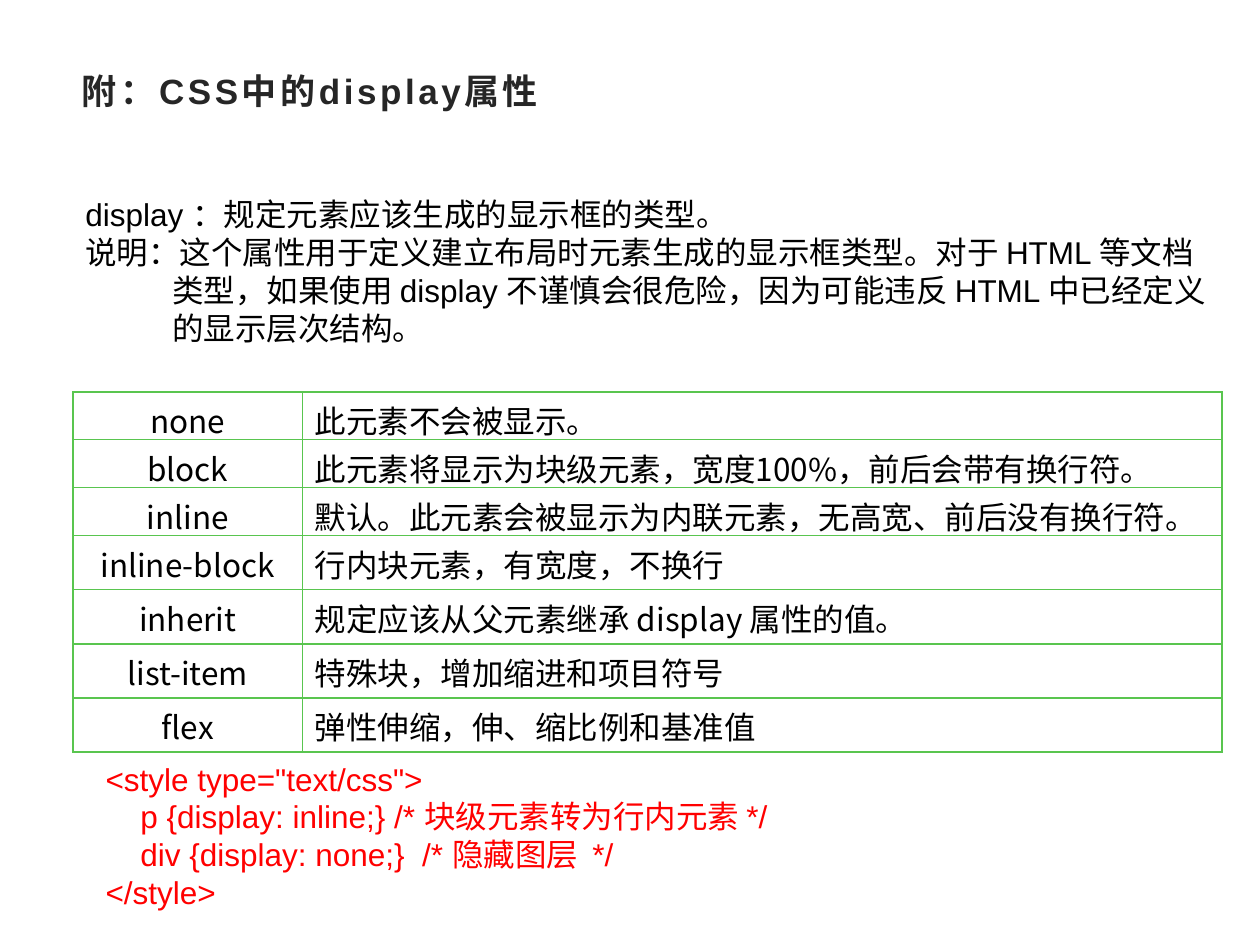
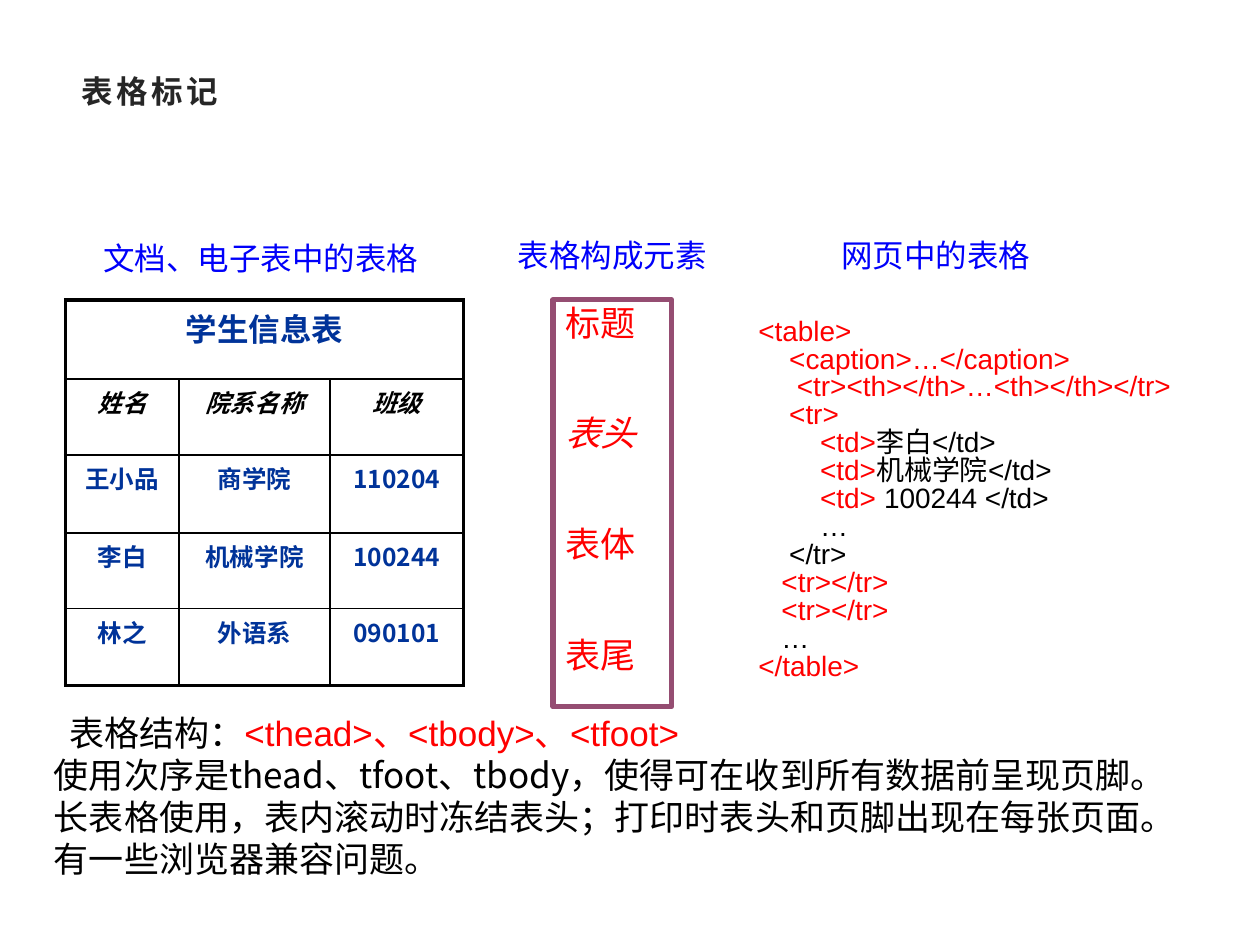
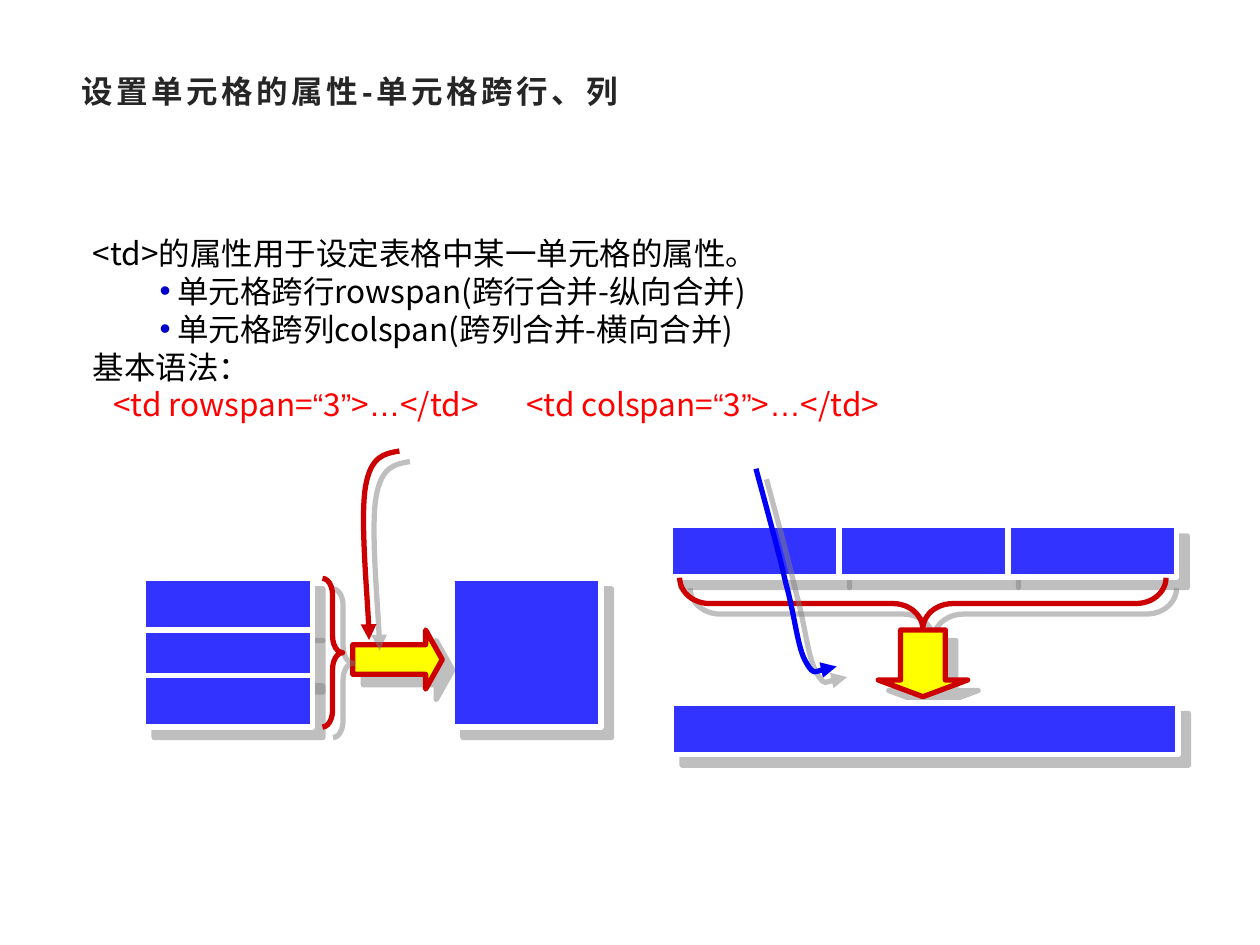
from lxml import etree
from pptx import Presentation
from pptx.dml.color import RGBColor
from pptx.enum.shapes import MSO_SHAPE
from pptx.enum.text import MSO_ANCHOR, MSO_AUTO_SIZE, PP_ALIGN
from pptx.oxml.ns import qn
from pptx.util import Inches, Pt

LEFT, CENTER = PP_ALIGN.LEFT, PP_ALIGN.CENTER
TOP, MIDDLE = MSO_ANCHOR.TOP, MSO_ANCHOR.MIDDLE
RECT, ARROW = MSO_SHAPE.RECTANGLE, MSO_SHAPE.RIGHT_ARROW
L_BRACE, R_BRACE = MSO_SHAPE.LEFT_BRACE, MSO_SHAPE.RIGHT_BRACE

BLACK = RGBColor(0, 0, 0)
WHITE = RGBColor(0xFF, 0xFF, 0xFF)
INK = RGBColor(0x26, 0x26, 0x26)
RED = RGBColor(0xFF, 0, 0)
GREEN = RGBColor(0x59, 0xC5, 0x4F)
NAVY = RGBColor(0, 0x33, 0x99)
BLUE = RGBColor(0, 0, 0xFA)
DOT = RGBColor(0, 0, 0xCC)
PLUM = RGBColor(0x95, 0x4D, 0x72)
CELL = RGBColor(0x33, 0x33, 0xFF)
CRIMSON = RGBColor(0xCC, 0, 0)
YELLOW = RGBColor(0xFF, 0xFF, 0)
GRAY = RGBColor(0x80, 0x80, 0x80)

ARIAL, NOTO = "Arial", "Noto Sans CJK SC"


def node(parent, tag, **attrs):
    item = etree.SubElement(parent, qn(tag))
    for key, value in attrs.items():
        item.set(key, str(value))
    return item


def tint(parent, color):
    return node(parent, "a:srgbClr", val=color)


def box(at):
    return [Inches(n) for n in at]


class Deck:
    def __init__(self):
        self.prs = Presentation()
        self.prs.slide_width, self.prs.slide_height = Inches(10), Inches(7.5)
        self.slide = None

    def page(self, title, size=18):
        """Start a slide with the shared title style."""
        self.slide = self.prs.slides.add_slide(self.prs.slide_layouts[5])
        head = self.slide.shapes.title
        head.left, head.top, head.width, head.height = box((0.55, 0.48, 8.9, 0.48))
        frame = head.text_frame
        frame.auto_size = MSO_AUTO_SIZE.NONE
        frame.vertical_anchor = MIDDLE
        para = frame.paragraphs[0]
        para.alignment = LEFT
        run = self.run(para, title, size, INK, bold=True)
        run.font._element.set("spc", "200")

    def run(self, para, text, size=18, color=BLACK, font=ARIAL, bold=False, italic=False):
        run = para.add_run()
        run.text = text
        face = run.font
        face.size, face.name, face.bold, face.italic = Pt(size), font, bold, italic
        face.color.rgb = color
        node(face._element, "a:ea", typeface=NOTO)
        return run

    def fill(self, frame, lines, line=None, gap=0, **style):
        """Write lines; each is a string or a list of (text, changes) runs."""
        frame.word_wrap = True
        frame.vertical_anchor = TOP
        for i, parts in enumerate(lines):
            para = frame.add_paragraph() if i else frame.paragraphs[0]
            para.alignment = LEFT
            if line:
                para.line_spacing = line
            if i and gap:
                para.space_before = Pt(gap)
            for text, diff in [(parts, {})] if isinstance(parts, str) else parts:
                self.run(para, text, **{**style, **diff})
        return frame.paragraphs

    def text(self, at, lines, **style):
        area = self.slide.shapes.add_textbox(*box(at))
        return self.fill(area.text_frame, lines, **style)

    def indent(self, para, left, first):
        props = para._p.get_or_add_pPr()
        props.set("marL", str(Inches(left)))
        props.set("indent", str(Inches(first)))
        return props

    def bullet(self, para, left, first):
        props = self.indent(para, left, first)
        tint(node(props, "a:buClr"), DOT)
        node(props, "a:buFont", typeface=ARIAL)
        node(props, "a:buChar", char="•")

    def table(self, at, cols, rows, data, look, color, edge, anchor, span=1):
        """Draw a grid; look(r, c) gives alignment and run style; span joins top cells."""
        grid = self.slide.shapes.add_table(len(rows), len(cols), *box(at)).table
        grid.first_row = grid.horz_banding = False
        for col, wide in zip(grid.columns, cols):
            col.width = Inches(wide)
        for row, high in zip(grid.rows, rows):
            row.height = Inches(high)
        if span > 1:
            grid.cell(0, 0).merge(grid.cell(0, span - 1))
        for r, words in enumerate(data):
            for c, word in enumerate(words):
                cell = grid.cell(r, c)
                cell.margin_top = cell.margin_bottom = Inches(0.04)
                cell.vertical_anchor = anchor
                para = cell.text_frame.paragraphs[0]
                para.alignment, style = look(r, c)
                self.run(para, word, **style)
                wide = cell.span_width if cell.is_merge_origin else 1
                outer = {"L": c == 0, "R": c + wide == len(cols),
                         "T": r == 0, "B": r == len(rows) - 1}
                for side, rim in outer.items():
                    rule = node(cell._tc.get_or_add_tcPr(), "a:ln" + side,
                                w=Pt(edge if rim else 1))
                    tint(node(rule, "a:solidFill"), color)
                cell.fill.background()

    def paint(self, shape, fill, line, shade=True):
        shape.shadow.inherit = False
        if fill is None:
            shape.fill.background()
        else:
            shape.fill.solid()
            shape.fill.fore_color.rgb = fill
        shape.line.color.rgb = line
        shape.line.width = Pt(3)
        if shade:
            effects = shape._element.spPr.find(qn("a:effectLst"))
            cast = node(effects, "a:outerShdw", blurRad=0, dist=Pt(8.5),
                        dir=45 * 60000, algn="ctr", rotWithShape=0)
            node(tint(cast, GRAY), "a:alpha", val=50000)

    def shape(self, kind, at, fill=None, line=CRIMSON, adj=(), turn=0, shade=True, home=None):
        item = (home or self.slide).shapes.add_shape(kind, *box(at))
        for i, value in enumerate(adj):
            item.adjustments[i] = value
        item.rotation = turn
        self.paint(item, fill, line, shade)
        return item

    def cells(self, spots):
        """Draw blue table cells as one group."""
        group = self.slide.shapes.add_group_shape()
        for left, top in spots:
            self.shape(RECT, (left, top, 1.34, 0.41), CELL, WHITE, home=group)

    def curve(self, points, color):
        """Draw an arrow of cubic curves: a start, then three points a curve."""
        start, *rest = [box(p) for p in points]
        pen = self.slide.shapes.build_freeform(*start)
        pen.add_line_segments(rest, close=False)
        item = pen.convert_to_shape()
        track = item._element.spPr.find(".//" + qn("a:path"))
        steps = track.findall(qn("a:lnTo"))
        for i in range(0, len(steps), 3):
            bend = node(track, "a:cubicBezTo")
            for step in steps[i:i + 3]:
                bend.append(step[0])
                track.remove(step)
        self.paint(item, None, color)
        node(item._element.spPr.find(qn("a:ln")), "a:tailEnd", type="triangle")


def display(deck):
    deck.page("附：CSS中的display属性", 20)
    paras = deck.text((0.58, 1.5, 9.09, 1.31), [
        "display ：规定元素应该生成的显示框的类型。",
        "说明：这个属性用于定义建立布局时元素生成的显示框类型。对于 HTML 等文档类型，"
        "如果使用 display 不谨慎会很危险，因为可能违反 HTML 中已经定义的显示层次结构。",
    ])
    deck.indent(paras[1], 0.69, -0.69)
    values = [
        ("none", "此元素不会被显示。"),
        ("block", "此元素将显示为块级元素，宽度100%，前后会带有换行符。"),
        ("inline", "默认。此元素会被显示为内联元素，无高宽、前后没有换行符。"),
        ("inline-block", "行内块元素，有宽度，不换行"),
        ("inherit", "规定应该从父元素继承 display 属性的值。"),
        ("list-item", "特殊块，增加缩进和项目符号"),
        ("flex", "弹性伸缩，伸、缩比例和基准值"),
    ]
    deck.table((0.58, 3.11, 9.12, 2.85), (1.82, 7.3), [0.37] * 3 + [0.43] * 4, values,
               lambda r, c: (LEFT if c else CENTER, {"font": NOTO}), GREEN, 1, MIDDLE)
    deck.text((0.67, 5.98, 9.33, 1.31), [
        ' <style type="text/css">',
        "     p {display: inline;} /* 块级元素转为行内元素 */",
        "     div {display: none;}  /* 隐藏图层  */",
        " </style>",
    ], color=RED)


def student(r, c):
    """Style of one cell in the student table."""
    return CENTER, {"size": 14 if r else 18, "color": BLACK if r == 1 else NAVY,
                    "font": NOTO, "bold": True, "italic": r == 1}


def markup(deck):
    deck.page("表格标记")
    deck.table((0.52, 2.38, 3.16, 3.07), (0.9, 1.2, 1.06), (0.63, 0.6, 0.62, 0.6, 0.61), [
        ("学生信息表",),
        ("姓名", "院系名称", "班级"),
        ("王小品", "商学院", "110204"),
        ("李白", "机械学院", "100244"),
        ("林之", "外语系", "090101"),
    ], student, BLACK, 2.25, TOP, span=3)
    parts = deck.shape(RECT, (4.39, 2.38, 0.94, 3.23), line=PLUM, shade=False)
    deck.fill(parts.text_frame, ["标题", [("表头", {"italic": True})], "表体", "表尾"],
              line=0.9, gap=41.6, size=20, color=RED)
    red = {"color": RED}
    code = [
        [("<table>", red)],
        [("    <caption>…</caption>", red)],
        [("     <tr><th></th>…<th></th></tr>", red)],
        [("    <tr>", red)],
    ]
    code += [[("        <td>", red), (word + "</td>", {})] for word in ("李白", "机械学院")]
    code += [
        [("        <td> ", red), ("100244 </td>", {})],
        "        …",
        "    </tr>",
        *[[("   <tr></tr>", red)]] * 2,
        "   …",
        [("</table>", red)],
    ]
    deck.text((5.92, 2.48, 3.83, 3.02), code, line=Pt(16), size=16)
    paras = deck.text((0.33, 5.6, 9.43, 1.78), [
        [("表格结构：", {}), ("<thead>、<tbody>、<tfoot>", {"font": ARIAL, "color": RED})],
        "使用次序是thead、tfoot、tbody，使得可在收到所有数据前呈现页脚。",
        "长表格使用，表内滚动时冻结表头；打印时表头和页脚出现在每张页面。",
        "有一些浏览器兼容问题。",
    ], size=20, font=NOTO)
    deck.indent(paras[0], 0.12, 0)
    for at, label in [
        ((0.72, 1.88, 3.45, 0.37), "文档、电子表中的表格"),
        ((6.58, 1.86, 2.84, 0.37), "网页中的表格"),
        ((4.01, 1.86, 2, 0.37), "表格构成元素"),
    ]:
        deck.text(at, [label], line=0.9, color=BLUE, font=NOTO)


def tag(name):
    """Runs of a td tag whose quotes and dots are in Arial."""
    arial = {"font": ARIAL, "color": RED}
    noto = {"color": RED}
    return [(f"<td {name}=", noto), ("“", arial), ("3", noto), ("”", arial),
            (">", noto), ("…", arial), ("</td>", noto)]


def spans(deck):
    deck.page("设置单元格的属性-单元格跨行、列")
    intro, rows, cols, basic, code = deck.text((0.58, 1.81, 9.33, 1.94), [
        "<td>的属性用于设定表格中某一单元格的属性。",
        "单元格跨行rowspan(跨行合并-纵向合并)",
        "单元格跨列colspan(跨列合并-横向合并)",
        "基本语法：",
        tag("rowspan") + [("\t", {})] + tag("colspan"),
    ], font=NOTO)
    for para in (intro, basic):
        deck.indent(para, 0.06, 0)
    for para in (rows, cols):
        deck.bullet(para, 0.73, -0.14)
    tabs = node(deck.indent(code, 0, 0.22), "a:tabLst")
    node(tabs, "a:tab", pos=Inches(3.46), algn="l")

    deck.cells([(1.14, top) for top in (4.59, 5, 5.36)])
    deck.shape(RECT, (3.59, 4.59, 1.18, 1.18), CELL, WHITE)
    deck.shape(ARROW, (2.8, 5, 0.71, 0.47), YELLOW, adj=(0.5, 0.28))
    deck.curve([(3.17, 3.58), (3.05, 3.6), (2.94, 3.62), (2.9, 3.87),
                (2.86, 4.12), (2.93, 4.88), (2.93, 5.08)], CRIMSON)
    deck.cells([(5.32 + 1.34 * i, 4.17) for i in range(3)])
    deck.shape(L_BRACE, (7.12, 2.86, 0.41, 3.86), adj=(0.58, 0.5), turn=270)
    deck.shape(ARROW, (7.06, 4.91, 0.53, 0.71), YELLOW, adj=(0.5, 0.25), turn=90)
    deck.shape(RECT, (5.33, 5.58, 4.02, 0.41), CELL, WHITE)
    deck.curve([(6, 3.72), (6.09, 4.05), (6.18, 4.38), (6.24, 4.64),
                (6.31, 4.89), (6.33, 5.15), (6.4, 5.26),
                (6.46, 5.37), (6.6, 5.29), (6.64, 5.29)], BLUE)
    deck.shape(R_BRACE, (2.56, 4.59, 0.16, 1.18), adj=(0.83, 0.5))


def main():
    deck = Deck()
    for build in (display, markup, spans):
        build(deck)
    deck.prs.save("out.pptx")


if __name__ == "__main__":
    main()
